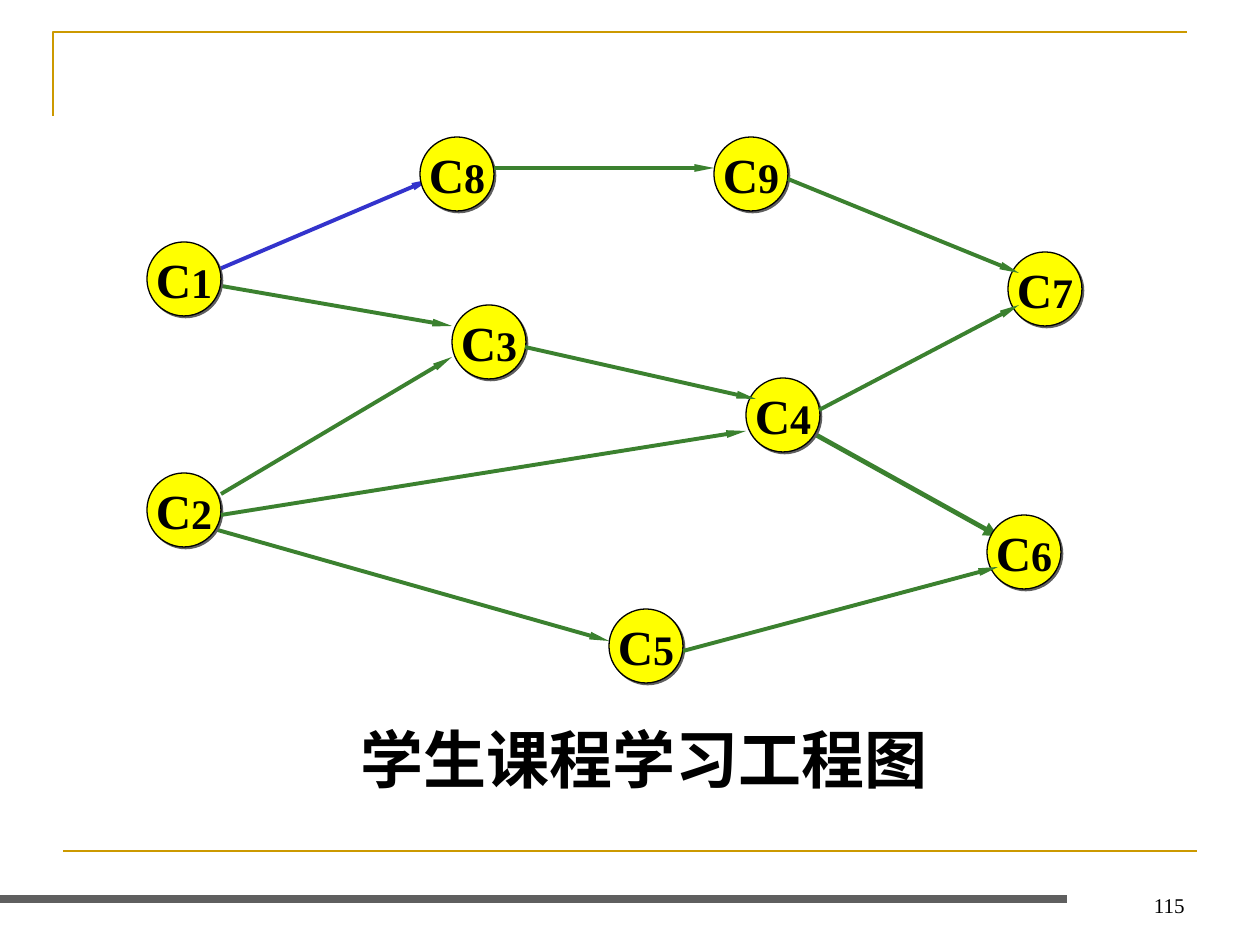
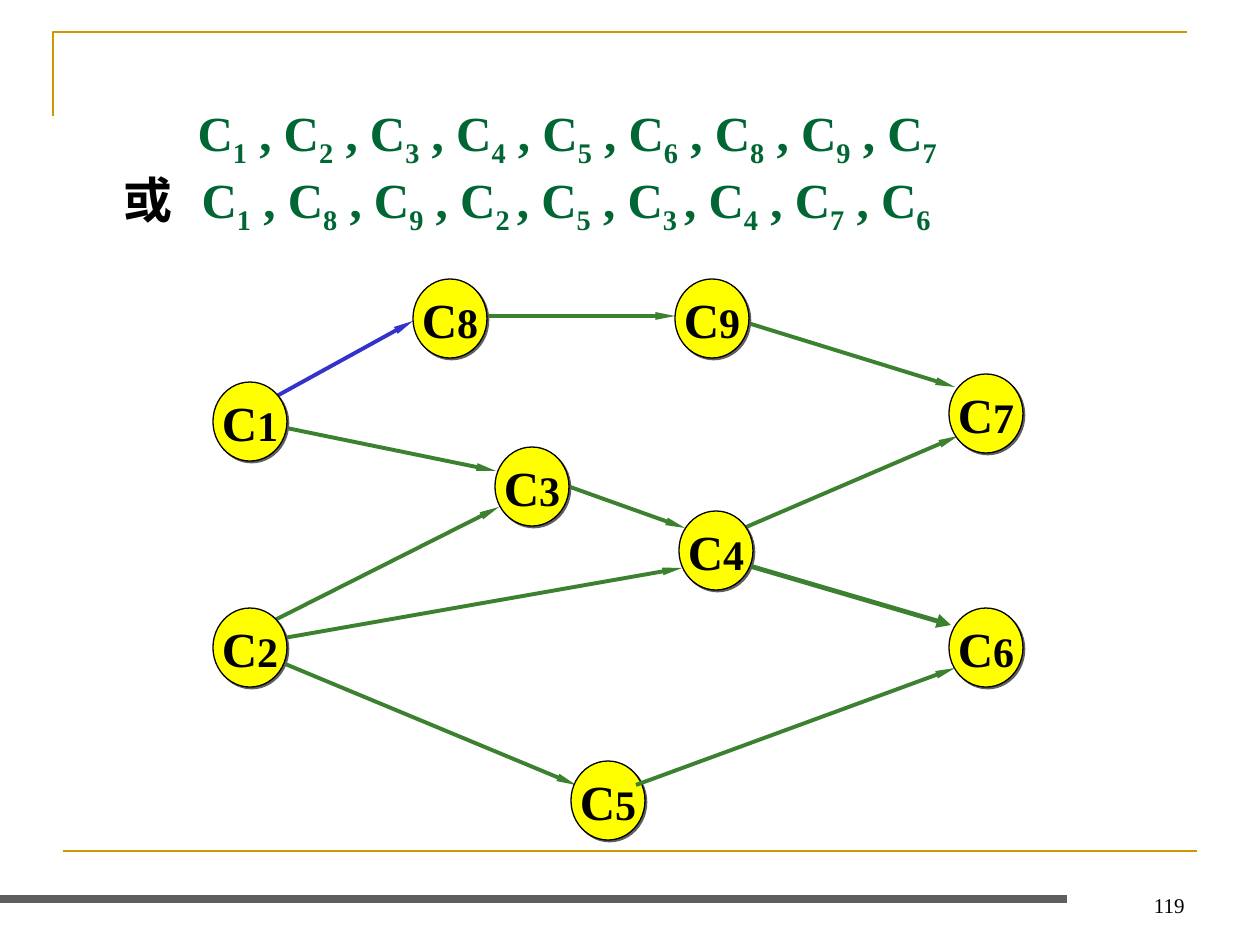
from lxml.etree import SubElement
from pptx import Presentation
from pptx.dml.color import RGBColor
from pptx.enum.shapes import MSO_CONNECTOR, MSO_SHAPE
from pptx.enum.text import MSO_ANCHOR, MSO_AUTO_SIZE, PP_ALIGN
from pptx.oxml.ns import qn
from pptx.util import Emu, Pt

EMU_PER_PX = 914400 / 126
CONTENT_LAYOUT, BLANK_LAYOUT = 1, 6

FONT = "Times New Roman"
BLACK, GRAY, GOLD = "000000", "5F5F5F", "CC9900"
YELLOW, GREEN, BLUE, DARK_GREEN = "FFFF00", "3B812F", "3333CC", "006633"

# Each arrow: source course, target course, start x, y, end x, y
PLAN_NODES = {
    "C8": (420, 137), "C3": (452, 305), "C5": (609, 609),
    "C4": (746, 378), "C9": (714, 137), "C6": (987, 515),
    "C7": (1008, 252), "C1": (147, 242), "C2": (147, 473),
}
PLAN_BACK_ARROWS = [
    ("C4", "C6", 809, 431, 998, 536),
    ("C2", "C5", 200, 525, 609, 641),
    ("C2", "C3", 221, 494, 452, 357),
    ("C1", "C3", 210, 284, 452, 326),
    ("C1", "C8", 210, 273, 431, 179),
]
PLAN_FRONT_ARROWS = [
    ("C8", "C9", 494, 168, 714, 168),
    ("C3", "C4", 525, 347, 756, 399),
    ("C2", "C4", 221, 515, 746, 431),
    ("C9", "C7", 788, 179, 1019, 273),
    ("C4", "C7", 819, 410, 1019, 305),
    ("C5", "C6", 683, 651, 998, 567),
]
ORDER_NODES = {
    "C8": (413, 279), "C3": (495, 447), "C5": (571, 761),
    "C4": (679, 511), "C9": (675, 279), "C6": (949, 608),
    "C7": (949, 374), "C1": (213, 382), "C2": (213, 608),
}
ORDER_BACK_ARROWS = [
    ("C2", "C4", 267, 641, 682, 568),
    ("C3", "C4", 559, 483, 685, 528),
    ("C9", "C7", 738, 320, 955, 387),
    ("C4", "C7", 730, 534, 958, 436),
    ("C8", "C9", 455, 316, 675, 316),
    ("C4", "C6", 743, 564, 951, 625),
    ("C2", "C5", 266, 656, 576, 785),
    ("C2", "C3", 265, 625, 499, 507),
    ("C1", "C3", 233, 417, 496, 471),
    ("C1", "C8", 266, 402, 413, 321),
]
ORDER_FRONT_ARROWS = [("C5", "C6", 636, 785, 955, 668)]

# Bars separate normal text from subscripts
FIRST_ORDER = "C|1| , C|2| , C|3| , C|4| , C|5| , C|6| , C|8| , C|9| , C|7"
SECOND_ORDER = "C|1| , C|8| , C|9| , C|2 |, C|5| , C|3 |, C|4| , C|7| , C|6"


def px(length):
    return Emu(round(length * EMU_PER_PX))


def color(hex_string):
    return RGBColor.from_string(hex_string)


class Deck:
    def __init__(self):
        self.presentation = Presentation()
        self.presentation.slide_width = px(1260)
        self.presentation.slide_height = px(945)
        self.slide = None

    def new_slide(self, layout, number):
        """Add a slide with the shared frame lines and its page number."""
        layouts = self.presentation.slide_layouts
        self.slide = self.presentation.slides.add_slide(layouts[layout])
        self.corner([(53, 116), (53, 32), (1187, 32)])
        self.line(self.slide.shapes, 63, 851, 1197, 851, GOLD, 1.5)
        self.line(self.slide.shapes, 0, 899, 1067, 899, GRAY, 4.5)
        self.text(number, (903, 861, 294, 63), 12, align=PP_ALIGN.RIGHT,
                  anchor=MSO_ANCHOR.BOTTOM)

    def corner(self, points):
        builder = self.slide.shapes.build_freeform(*points[0], scale=EMU_PER_PX)
        builder.add_line_segments(points[1:], close=False)
        shape = builder.convert_to_shape()
        shape.shadow.inherit = False
        shape.fill.background()
        shape.line.color.rgb = color(GOLD)
        shape.line.width = Pt(1.5)

    def line(self, shapes, x1, y1, x2, y2, hex_string, width):
        connector = shapes.add_connector(
            MSO_CONNECTOR.STRAIGHT, px(x1), px(y1), px(x2), px(y2))
        connector.line.color.rgb = color(hex_string)
        connector.line.width = Pt(width)
        SubElement(connector._element.spPr, qn("a:effectLst"))
        return connector

    def arrow(self, shapes, source, target, *ends):
        heavy = (source, target) == ("C4", "C6")
        hex_string = BLUE if (source, target) == ("C1", "C8") else GREEN
        connector = self.line(shapes, *ends, hex_string, 2.75 if heavy else 2.25)
        head = SubElement(connector.line._get_or_add_ln(), qn("a:tailEnd"),
                          type="triangle")
        if not heavy:
            head.set("w", "sm")
            head.set("len", "lg")

    def style_run(self, run, size, hex_string=BLACK, bold=True):
        run.font.name = FONT
        run.font.size = Pt(size)
        run.font.bold = bold
        run.font.color.rgb = color(hex_string)

    def text(self, text, box, size, bold=False, align=PP_ALIGN.LEFT,
             anchor=MSO_ANCHOR.TOP, wrap=True):
        shape = self.slide.shapes.add_textbox(*map(px, box))
        text_frame = shape.text_frame
        text_frame.text = text
        text_frame.word_wrap = wrap
        text_frame.vertical_anchor = anchor
        paragraph = text_frame.paragraphs[0]
        paragraph.alignment = align
        self.style_run(paragraph.runs[0], size, bold=bold)

    def node(self, shapes, name, left, top, height):
        shape = shapes.add_shape(
            MSO_SHAPE.OVAL, px(left), px(top), px(74), px(height))
        shape.fill.solid()
        shape.fill.fore_color.rgb = color(YELLOW)
        shape.line.color.rgb = color(BLACK)
        shape.line.width = Pt(0.75)
        self.drop_shadow(shape)
        text_frame = shape.text_frame
        text_frame.word_wrap = False
        text_frame.vertical_anchor = MSO_ANCHOR.MIDDLE
        paragraph = text_frame.paragraphs[0]
        paragraph.alignment = PP_ALIGN.CENTER
        for character, size in zip(name, (28, 24)):
            run = paragraph.add_run()
            run.text = character
            self.style_run(run, size)

    def drop_shadow(self, shape):
        shape.shadow.inherit = False
        effects = shape._element.spPr.find(qn("a:effectLst"))
        shadow = SubElement(effects, qn("a:outerShdw"), dist=str(Pt(1.4)),
                            dir="2700000", algn="ctr", rotWithShape="0")
        SubElement(shadow, qn("a:srgbClr"), val=GRAY)

    def course_graph(self, shapes, nodes, node_height, back_arrows, front_arrows):
        for arrow in back_arrows:
            self.arrow(shapes, *arrow)
        for name, (left, top) in nodes.items():
            self.node(shapes, name, left, top, node_height)
        for arrow in front_arrows:
            self.arrow(shapes, *arrow)

    def order_line(self, paragraph, order, indent, space_before, lead=""):
        """Write one course order with subscripts, after an optional lead word."""
        paragraph.space_before = Pt(space_before)
        properties = paragraph._p.get_or_add_pPr()
        properties.set("marL", "0")
        properties.set("indent", str(px(indent)))
        SubElement(properties, qn("a:buNone"))
        if lead:
            tabs = SubElement(properties, qn("a:tabLst"))
            SubElement(tabs, qn("a:tab"), pos=str(px(142)), algn="l")
            run = paragraph.add_run()
            run.text = lead + "\t"
            self.style_run(run, 28)
        for index, piece in enumerate(order.split("|")):
            run = paragraph.add_run()
            run.text = piece
            self.style_run(run, 28, DARK_GREEN)
            if index % 2:
                run._r.get_or_add_rPr().set("baseline", "-25000")

    def order_body(self):
        title, body = self.slide.placeholders[0], self.slide.placeholders[1]
        title._element.getparent().remove(title._element)
        body.left, body.top, body.width, body.height = map(px, (63, 96, 1134, 171))
        text_frame = body.text_frame
        text_frame.auto_size = MSO_AUTO_SIZE.NONE
        self.order_line(text_frame.paragraphs[0], FIRST_ORDER, 122, 7)
        self.order_line(text_frame.add_paragraph(), SECOND_ORDER, 48, 0, "或")


def main():
    deck = Deck()

    deck.new_slide(BLANK_LAYOUT, "115")
    deck.text("学生课程学习工程图", (348, 714, 592, 88), 36, bold=True, wrap=False)
    deck.course_graph(deck.slide.shapes, PLAN_NODES, 74,
                      PLAN_BACK_ARROWS, PLAN_FRONT_ARROWS)

    deck.new_slide(CONTENT_LAYOUT, "119")
    deck.order_body()
    group = deck.slide.shapes.add_group_shape()
    deck.course_graph(group.shapes, ORDER_NODES, 79,
                      ORDER_BACK_ARROWS, ORDER_FRONT_ARROWS)

    deck.presentation.save("out.pptx")


if __name__ == "__main__":
    main()
